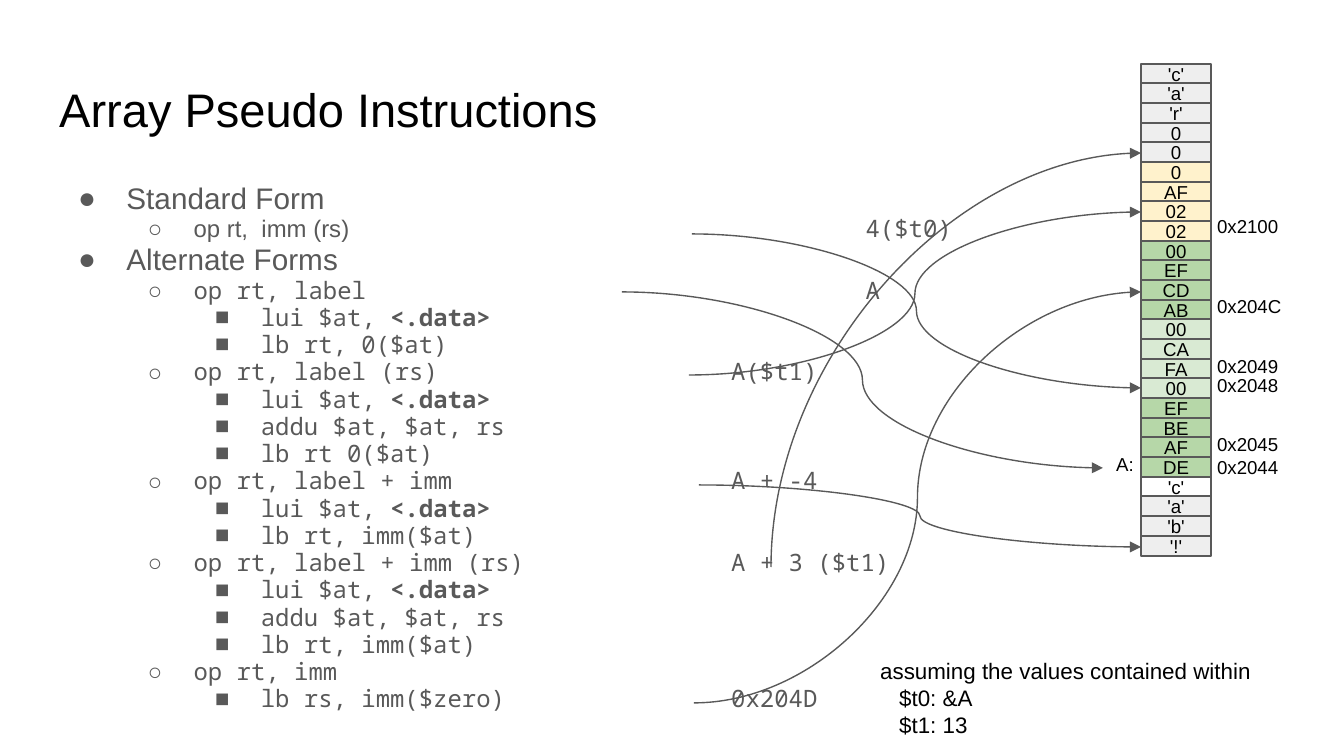
import pptx
import pptx.dml.color
import pptx.enum.shapes
import pptx.enum.text
import pptx.util
from lxml import etree
from pptx.oxml.ns import qn

PX = 914400 / 134.4
ARIAL, MONO = "Arial", "Noto Sans Mono"
BLACK = pptx.dml.color.RGBColor(0x00, 0x00, 0x00)
GREY = pptx.dml.color.RGBColor(0x59, 0x59, 0x59)
LIGHT = pptx.dml.color.RGBColor(0xEE, 0xEE, 0xEE)
WHITE = pptx.dml.color.RGBColor(0xFF, 0xFF, 0xFF)
YELLOW = pptx.dml.color.RGBColor(0xFF, 0xF2, 0xCC)
GREEN = pptx.dml.color.RGBColor(0xB6, 0xD7, 0xA8)
PALE_GREEN = pptx.dml.color.RGBColor(0xD9, 0xEA, 0xD3)


def px(*values):
    return [pptx.util.Emu(round(v * PX)) for v in values]


def write(sp, text, size, color=BLACK):
    """Put Arial text into a shape with equal insets and return its text frame."""
    tf = sp.text_frame
    tf.word_wrap = True
    tf.margin_left = tf.margin_top = tf.margin_right = tf.margin_bottom = pptx.util.Inches(0.1)
    tf.text = text
    for p in tf.paragraphs:
        for r in p.runs:
            r.font.name = ARIAL
            r.font.size = pptx.util.Pt(size)
            r.font.color.rgb = color
    return tf


prs = pptx.Presentation()
prs.slide_width, prs.slide_height = px(1344, 756)
s = prs.slides.add_slide(prs.slide_layouts[6])

# Title
tf = write(s.shapes.add_textbox(*px(46, 66, 1252, 85)), "Array Pseudo Instructions", 25.2)
tf.vertical_anchor = pptx.enum.text.MSO_ANCHOR.MIDDLE

# Instruction outline: level, font, text, monospaced ending
LINES = [
    (0, ARIAL, "Standard Form", ""),
    (1, ARIAL, "op rt,  imm (rs)\t\t\t\t", "4($t0)"),
    (0, ARIAL, "Alternate Forms", ""),
    (1, MONO, "op rt, label\t\t\t\tA", ""),
    (2, MONO, "lui $at, ", "<.data>"),
    (2, MONO, "lb rt, 0($at)", ""),
    (1, MONO, "op rt, label (rs)\t\t\tA($t1)", ""),
    (2, MONO, "lui $at, ", "<.data>"),
    (2, MONO, "addu $at, $at, rs", ""),
    (2, MONO, "lb rt 0($at)", ""),
    (1, MONO, "op rt, label + imm\t\t\tA + -4", ""),
    (2, MONO, "lui $at, ", "<.data>"),
    (2, MONO, "lb rt, imm($at)", ""),
    (1, MONO, "op rt, label + imm (rs)\t\tA + 3 ($t1)", ""),
    (2, MONO, "lui $at, ", "<.data>"),
    (2, MONO, "addu $at, $at, rs", ""),
    (2, MONO, "lb rt, imm($at)", ""),
    (1, MONO, "op rt, imm", ""),
    (2, MONO, "lb rs, imm($zero)\t\t0x204D", ""),
]
tf = write(s.shapes.add_textbox(*px(46, 169, 1252, 503)), "", 12.8)
for i, (level, font, text, ending) in enumerate(LINES):
    p = tf.paragraphs[0] if i == 0 else tf.add_paragraph()
    p.level = level
    p.line_spacing = 0.95
    pPr = p._p.get_or_add_pPr()
    pPr.set("marL", str(457200 * (level + 1)))
    pPr.set("indent", str(pptx.util.Inches(-0.36 if level == 0 else -0.34)))
    pPr.set("defTabSz", "914400")
    bullet_color = etree.SubElement(pPr, qn("a:buClr"))
    etree.SubElement(bullet_color, qn("a:srgbClr"), val=str(GREY))
    etree.SubElement(pPr, qn("a:buFont"), typeface=font)
    etree.SubElement(pPr, qn("a:buChar"), char="●○■"[level])
    for part, face in ((text, font), (ending, MONO)):
        if part:
            r = p.add_run()
            r.text = part
            r.font.name = face
            r.font.size = pptx.util.Pt(15.9 if level == 0 else 12.8)
            r.font.bold = part == "<.data>"
            r.font.color.rgb = GREY

# Memory column, highest address first
MEMORY = [
    (LIGHT, ["'c'", "'a'", "'r'", "0", "0"]),
    (YELLOW, ["0", "AF", "02", "02"]),
    (GREEN, ["00", "EF", "CD", "AB"]),
    (PALE_GREEN, ["00", "CA", "FA", "00"]),
    (GREEN, ["EF", "BE", "AF", "DE"]),
    (WHITE, ["'c'"]),
    (LIGHT, ["'a'", "'b'", "'!'"]),
]
cells = [(fill, value) for fill, values in MEMORY for value in values]
for i, (fill, value) in enumerate(cells):
    sp = s.shapes.add_shape(pptx.enum.shapes.MSO_SHAPE.RECTANGLE, *px(1141, 64 + i * 59 // 3, 70, 20))
    sp.shadow.inherit = False
    sp.fill.solid()
    sp.fill.fore_color.rgb = fill
    sp.line.color.rgb = GREY
    sp.line.width = pptx.util.Pt(0.75)
    tf = write(sp, value, 10)
    tf.vertical_anchor = pptx.enum.text.MSO_ANCHOR.MIDDLE
    tf.paragraphs[0].alignment = pptx.enum.text.PP_ALIGN.CENTER

# Address labels
for x, y, w, text in [
    (1204, 204, 98, "0x2100"),
    (1204, 284, 98, "0x204C"),
    (1204, 344, 98, "0x2049"),
    (1204, 363, 98, "0x2048"),
    (1204, 422, 98, "0x2045"),
    (1204, 445, 98, "0x2044"),
    (1103, 442, 54, "A:"),
]:
    write(s.shapes.add_textbox(*px(x, y, w, 50)), text, 10)

# Arrows from the operands to memory; a quarter curve is turned to leave upwards
for ends, quarter in [
    ((692, 234, 1141, 388), False),
    ((622, 292, 1103, 468), False),
    ((699, 485, 1141, 547), False),
    ((694, 703, 1141, 292), False),
    ((689, 375, 1141, 212), False),
    ((749, 175, 1163, 545), True),
]:
    arrow = s.shapes.add_connector(pptx.enum.shapes.MSO_CONNECTOR.CURVE, *px(*ends))
    arrow.line.color.rgb = GREY
    arrow.line.width = pptx.util.Pt(0.75)
    spPr = arrow._element.spPr
    etree.SubElement(spPr.find(qn("a:ln")), qn("a:tailEnd"), type="triangle")
    etree.SubElement(spPr, qn("a:effectLst"))
    if quarter:
        spPr.find(qn("a:xfrm")).set("rot", "16200000")
        spPr.find(qn("a:prstGeom")).set("prst", "curvedConnector2")

# Register assumptions
note = s.shapes.add_textbox(*px(867, 644, 527, 109))
tf = write(note, "assuming the values contained within\n$t0: &A\v$t1: 13", 12)
tf.paragraphs[1]._p.get_or_add_pPr().set("marL", str(px(19)[0]))

prs.save("out.pptx")
